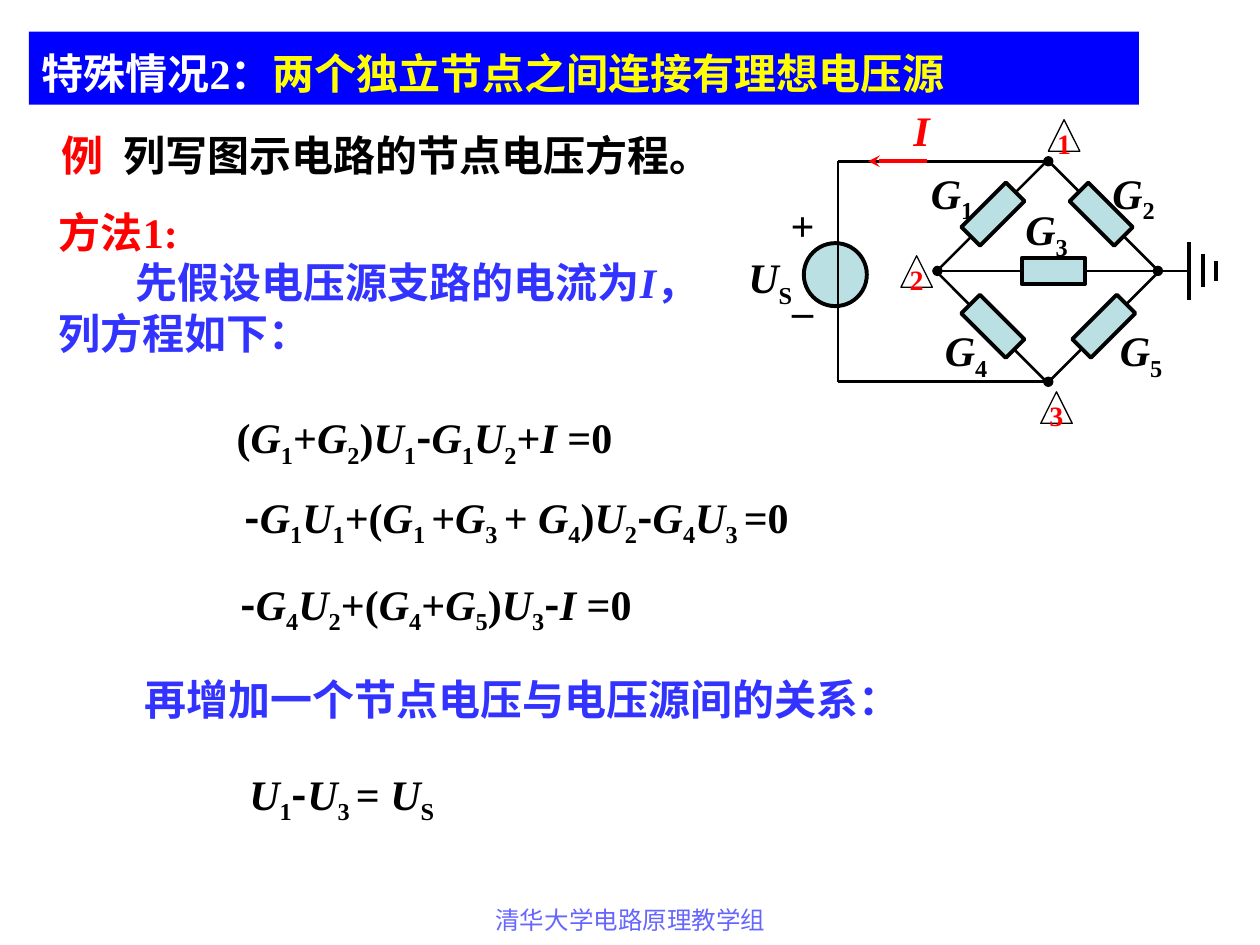
import itertools

import pptx
import pptx.dml.color
import pptx.enum.shapes
import pptx.enum.text
import pptx.oxml
import pptx.oxml.ns
import pptx.util

Inches = pptx.util.Inches
Pt = pptx.util.Pt
SHAPE = pptx.enum.shapes.MSO_SHAPE
ALIGN = pptx.enum.text.PP_ALIGN
ANCHOR = pptx.enum.text.MSO_ANCHOR
SIZING = pptx.enum.text.MSO_AUTO_SIZE

COLORS = {
    "black": "000000", "white": "FFFFFF", "red": "FF0000", "yellow": "FFFF00",
    "banner": "0000FF", "blue": "3333FF", "foot": "6666FF", "part": "BBE0E3",
}
SERIF, SANS = "Times New Roman", "Noto Sans CJK SC"


def color(name):
    return pptx.dml.color.RGBColor.from_string(COLORS[name])


def add_xml(parent, tag, **attrs):
    node = pptx.oxml.parse_xml(f"<a:{tag} {pptx.oxml.ns.nsdecls('a')}/>")
    for key, value in attrs.items():
        node.set(key, str(value))
    parent.append(node)
    return node


def run(text, **style):
    """Pair a piece of text with its format."""
    return text, style


def math(text, **style):
    """Split a formula into runs: '_' lowers the next sign, G, U and I slant."""
    marks, low = [], False
    for sign in text:
        if sign == "_":
            low = True
            continue
        if sign == " " and marks:
            kind = marks[-1][1]
        else:
            kind = "sub" if low else "var" if sign in "GUI" else "dash" if sign == "-" else "plain"
        marks.append((sign, kind))
        low = False
    looks = {"sub": {"sub": True}, "var": {"italic": True}, "dash": {"face": SANS}, "plain": {}}
    return [run("".join(sign for sign, _ in group), **looks[kind], **style)
            for kind, group in itertools.groupby(marks, key=lambda mark: mark[1])]


class Deck:
    def __init__(self):
        self.show = pptx.Presentation()
        self.show.slide_width, self.show.slide_height = Inches(10), Inches(7.5)
        self.slide = self.show.slides.add_slide(self.show.slide_layouts[5])
        self.shapes = self.slide.shapes

    def fill_text(self, shape, paras, wrap=False, align=ALIGN.LEFT, anchor=ANCHOR.TOP,
                  pad=0.05, fit=SIZING.NONE, space=1.0):
        frame = shape.text_frame
        frame.word_wrap, frame.auto_size = wrap, fit
        frame.vertical_anchor = anchor
        frame.margin_left = frame.margin_right = Inches(0.1)
        frame.margin_top = frame.margin_bottom = Inches(pad)
        for index, runs in enumerate(paras):
            para = frame.paragraphs[0] if index == 0 else frame.add_paragraph()
            para.alignment, para.line_spacing = align, space
            for text, style in runs:
                self.add_run(para, text, **style)
        return frame

    def add_run(self, para, text, size=24, ink="black", bold=True, italic=False,
                sub=False, face=SERIF):
        piece = para.add_run()
        piece.text = text
        font = piece.font
        font.size, font.bold, font.italic = Pt(size), bold, italic
        font.color.rgb = color(ink)
        font.name = face
        props = piece.font._element
        add_xml(props, "ea", typeface=SANS)
        if sub:
            props.set("baseline", "-25000")

    def title(self, box, runs):
        shape = self.shapes.title
        shape.left, shape.top, shape.width, shape.height = map(Inches, box)
        shape.fill.solid()
        shape.fill.fore_color.rgb = color("banner")
        self.fill_text(shape, [runs], wrap=True, space=1.2)

    def text(self, box, *paras, **layout):
        shape = self.shapes.add_textbox(*map(Inches, box))
        return self.fill_text(shape, paras, **layout)

    def shape(self, kind, box, fill="part", width=2.25, turn=0):
        shape = self.shapes.add_shape(kind, *map(Inches, box))
        shape.shadow.inherit = False
        shape.rotation = turn
        shape.fill.solid()
        shape.fill.fore_color.rgb = color(fill)
        shape.line.color.rgb = color("black")
        shape.line.width = Pt(width)
        return shape

    def resistor(self, x, y, turn):
        self.shape(SHAPE.RECTANGLE, (x - 0.105, y - 0.25, 0.21, 0.5), turn=turn)

    def node(self, x, y, label):
        shape = self.shape(SHAPE.ISOSCELES_TRIANGLE, (x, y, 0.25, 0.25), "white", 0.75)
        self.fill_text(shape, [[run(label, size=16, ink="red")]], align=ALIGN.CENTER,
                       anchor=ANCHOR.MIDDLE, pad=0.03)

    def line(self, start, end, width=1.5, ink="black", head=None, tail=None):
        wire = self.shapes.add_connector(pptx.enum.shapes.MSO_CONNECTOR.STRAIGHT,
                                         *map(Inches, start + end))
        wire.line.color.rgb = color(ink)
        wire.line.width = Pt(width)
        for tag, kind in (("headEnd", head), ("tailEnd", tail)):
            if kind:
                add_xml(wire.line._get_or_add_ln(), tag, type=kind)
        add_xml(wire._element.spPr, "effectLst")


def add_words(deck):
    deck.title((0.23, 0.25, 8.81, 0.58), [
        run("特殊情况2：", ink="white"),
        run("两个独立节点之间连接有理想电压源", ink="yellow")])

    # Example and method
    frame = deck.text((0.39, 0.98, 6, 0.5),
                      [run("例", ink="red"), run("\t列写图示电路的节点电压方程。")], wrap=True)
    tabs = add_xml(frame.paragraphs[0]._p.get_or_add_pPr(), "tabLst")
    add_xml(tabs, "tab", pos=Inches(0.49), algn="l")
    frame = deck.text((0.37, 1.59, 5.27, 1.3), [run("方法1:", ink="red")],
                      [run("先假设电压源支路的电流为", ink="blue"),
                       run("I", ink="blue", italic=True),
                       run("，列方程如下：", ink="blue")], wrap=True)
    frame.paragraphs[1]._p.get_or_add_pPr().set("indent", str(Inches(0.61)))

    # Equations
    for x, y, width, formula in (
            (1.78, 3.22, 3.33, "(G_1+G_2)U_1-G_1U_2+I =0"),
            (1.84, 3.85, 4.69, "-G_1U_1+(G_1 +G_3 + G_4)U_2-G_4U_3 =0"),
            (1.81, 4.54, 3.44, "-G_4U_2+(G_4+G_5)U_3-I =0"),
            (1.88, 6.05, 1.75, "U_1-U_3 = U_S")):
        deck.text((x, y, width, 0.56), math(formula), fit=SIZING.SHAPE_TO_FIT_TEXT)
    deck.text((1.05, 5.3, 6.35, 0.5),
              [run("再增加一个节点电压与电压源间的关系：", ink="blue")], wrap=True)

    # Footer
    deck.text((3.42, 7.13, 3.17, 0.52),
              [run("清华大学电路原理教学组", size=14, ink="foot", bold=False)],
              wrap=True, align=ALIGN.CENTER)


def add_circuit(deck):
    left, mid, right, top, axis, base = 6.65, 8.32, 9.19, 1.28, 2.15, 3.03

    # Bridge
    deck.shape(SHAPE.RECTANGLE, (7.69, 1.53, 1.25, 1.25), "white", 1.5, turn=45)
    deck.line((7.44, axis), (right, axis), head="oval", tail="oval")
    for x, y, turn in ((7.88, 1.7, 45), (8.74, 1.7, 315), (7.88, 2.59, 315),
                       (8.76, 2.59, 45), (8.36, axis, 270)):
        deck.resistor(x, y, turn)
    for x, y, name in ((7.29, 1.28, "G_1"), (8.73, 1.28, "G_2"), (8.04, 1.57, "G_3"),
                       (7.4, 2.53, "G_4"), (8.79, 2.53, "G_5")):
        deck.text((x, y, 0.54, 0.56), math(name))

    # Ground
    deck.line((right, axis), (9.44, axis), width=0.75)
    for x, half in ((9.44, 0.23), (9.55, 0.13), (9.65, 0.08)):
        deck.line((x, axis + half), (x, axis - half), width=2.25)

    # Voltage source
    for y in (top, base):
        deck.line((mid, y), (left, y), head="oval")
    deck.shape(SHAPE.OVAL, (6.38, 1.93, 0.5, 0.5))
    deck.line((left, top), (left, base))
    for y, sign in ((1.53, "+"), (2.1, "_")):
        deck.text((6.18, y, 0.38, 0.5), [run(sign)], align=ALIGN.CENTER, anchor=ANCHOR.MIDDLE)
    deck.text((5.84, 1.95, 0.58, 0.56), math("U_S"))

    # Node numbers and current
    for x, y, label in ((8.32, 0.95, "1"), (7.15, 2.03, "2"), (8.26, 3.11, "3")):
        deck.node(x, y, label)
    deck.line((7.36, top), (6.89, top), width=2.25, ink="red", tail="stealth")
    deck.text((7.15, 0.78, 0.33, 0.5), math("I", ink="red"))


def main():
    deck = Deck()
    add_words(deck)
    add_circuit(deck)
    deck.show.save("out.pptx")


if __name__ == "__main__":
    main()
